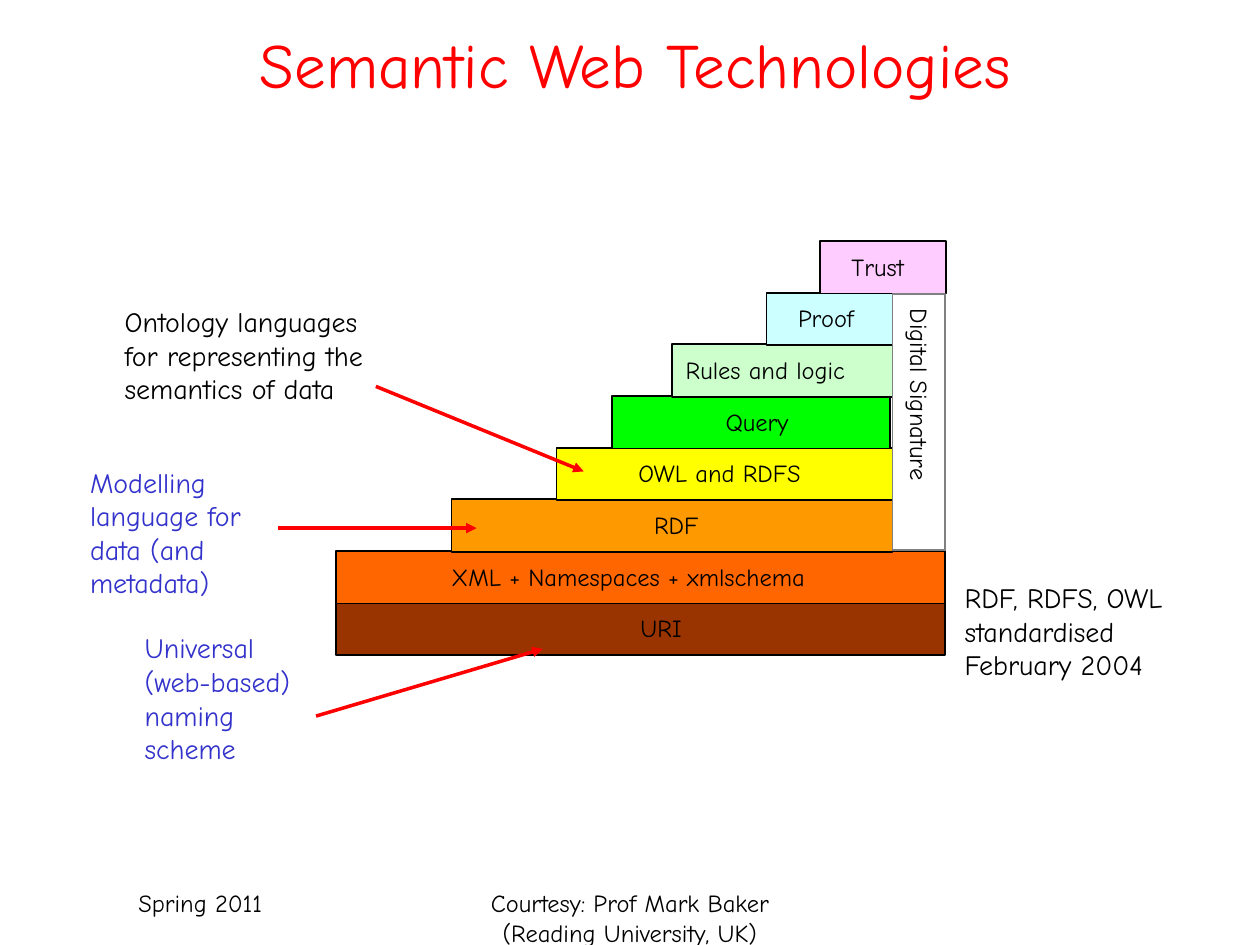
"""Build the Semantic Web technologies layer diagram on a grid of 120 by 90 units."""
from lxml import etree
from pptx import Presentation
from pptx.dml.color import RGBColor
from pptx.enum.shapes import MSO_CONNECTOR, MSO_SHAPE
from pptx.enum.text import MSO_ANCHOR, PP_ALIGN
from pptx.oxml.ns import qn
from pptx.util import Inches, Pt

RECT = MSO_SHAPE.RECTANGLE
STRAIGHT = MSO_CONNECTOR.STRAIGHT
LEFT, CENTER = PP_ALIGN.LEFT, PP_ALIGN.CENTER
TOP, MIDDLE = MSO_ANCHOR.TOP, MSO_ANCHOR.MIDDLE
FONT = "Comic Neue"
BLACK, RED, BLUE, GRAY = "000000", "FF0000", "3333CC", "808080"

prs = Presentation()
prs.slide_width, prs.slide_height = Inches(10), Inches(7.5)
s = prs.slides.add_slide(prs.slide_layouts[6])
U = prs.slide_width / 120


def grid(*units):
    return [round(u * U) for u in units]


def add_text(box, text, size=14, color=BLACK, align=LEFT, anchor=TOP, pad=(0, 0), wrap=True):
    tf = s.shapes.add_textbox(*grid(*box)).text_frame
    dx, dy = grid(*pad)
    fmt = {"margin_left": dx, "margin_right": dx, "margin_top": dy, "margin_bottom": dy,
           "word_wrap": wrap, "vertical_anchor": anchor}
    for name, value in fmt.items():
        setattr(tf, name, value)
    p = tf.paragraphs[0]
    p.alignment = align
    r = p.add_run()
    r.text = text
    for name, value in {"name": FONT, "size": Pt(size)}.items():
        setattr(r.font, name, value)
    r.font.color.rgb = RGBColor.from_string(color)
    return tf


add_text((12, 84, 25, 6), "Spring 2011", pad=(1.2, 0.6))
add_text((41, 84, 38, 6), "Courtesy: Prof Mark Baker (Reading University, UK)",
         align=CENTER, pad=(1.2, 0.6))
add_text((6, 1, 109, 10), "Semantic Web Technologies", 36, RED, CENTER, MIDDLE)

ROW, BAR_H, BASE = 4.92, 5, 57.4
layers = [
    ("URI", "993300", 32, 90, 61, 4.1),
    ("XML + Namespaces + xmlschema", "FF6600", 32, 90, 43, 40.3),
    ("RDF", "FF9900", 43, 85, 62.3, 5.5),
    ("OWL and RDFS", "FFFF00", 53, 85, 60.8, 17.6),
    ("Query", "00FF00", 58.3, 84.8, 69.1, 7.1),
    ("Rules and logic", "CCFFCC", 64, 85, 65.3, 17.9),
    ("Proof", "CCFFFF", 73, 85, 76, 6.1),
    ("Trust", "FFCCFF", 78.1, 90.1, 81.1, 6),
]
bars = [(left, BASE - i * ROW, right - left, BAR_H, fill, BLACK)
        for i, (_, fill, left, right, _, _) in enumerate(layers)]
bars.append((85, 28, 5, 24.4, None, GRAY))
for *box, fill, line in bars:
    sp = s.shapes.add_shape(RECT, *grid(*box))
    sp.shadow.inherit = False
    if fill:
        sp.fill.solid()
        sp.fill.fore_color.rgb = RGBColor.from_string(fill)
    else:
        sp.fill.background()
    sp.line.color.rgb = RGBColor.from_string(line)
    sp.line.width = Pt(1)

for i, (label, _, _, _, left, width) in enumerate(layers):
    add_text((left, BASE - i * ROW + 1, width, 2.8), label, wrap=False)
tf = add_text((86.2, 29.4, 2.8, 19.7), "Digital Signature", wrap=False)
tf._txBody.bodyPr.set("vert", "eaVert")

notes = [
    ((90.7, 54.1, 27.4, 12), "RDF, RDFS, OWL standardised February 2004", BLACK),
    ((10.7, 27.8, 27.4, 15.2), "Ontology languages for representing the semantics of data", BLACK),
    ((12.6, 58.9, 19.1, 15.2), "Universal (web-based) naming scheme", BLUE),
    ((7.4, 43.1, 19.1, 18.4), "Modelling language for data (and metadata)", BLUE),
]
for box, text, color in notes:
    add_text(box, text, 16, color, pad=(1.2, 1.2))

arrows = [(35.8, 36.8, 55.6, 44.9), (30.1, 68.2, 51.7, 61.8), (26.5, 50.3, 45.4, 50.3)]
for ends in arrows:
    cx = s.shapes.add_connector(STRAIGHT, *grid(*ends))
    cx.line.color.rgb = RGBColor.from_string(RED)
    cx.line.width = Pt(2)
    etree.SubElement(cx.line._get_or_add_ln(), qn("a:tailEnd"), type="triangle")
    etree.SubElement(cx._element.spPr, qn("a:effectLst"))

prs.save("out.pptx")
